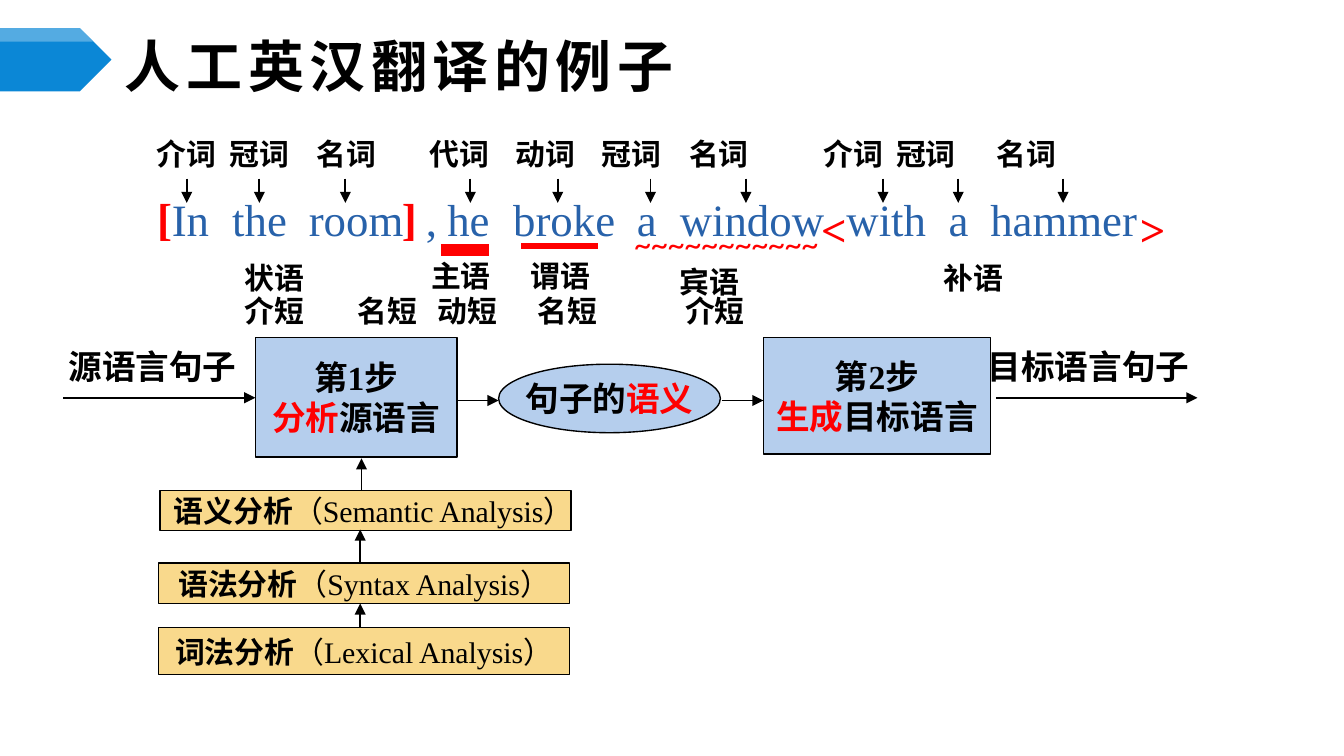
from lxml.etree import SubElement
from pptx import Presentation
from pptx.dml.color import RGBColor
from pptx.enum.shapes import MSO_CONNECTOR as Link, MSO_SHAPE as Form
from pptx.enum.text import MSO_ANCHOR as Anchor, MSO_AUTO_SIZE as Fit, PP_ALIGN as Align
from pptx.oxml.ns import qn
from pptx.util import Inches, Pt

BLACK = RGBColor(0, 0, 0)
WHITE = RGBColor(255, 255, 255)
RED = RGBColor(255, 0, 0)
INK = RGBColor(0x28, 0x62, 0xAA)
BLUE = RGBColor(0x0B, 0x87, 0xD6)
PALE = RGBColor(0xB5, 0xCE, 0xED)
GOLD = RGBColor(0xF9, 0xD9, 0x8C)
HAN, TIMES = "Noto Sans CJK SC", "Times New Roman"

WORD_TAGS = [("介词", 1.17), ("冠词", 1.71), ("名词", 2.36), ("代词", 3.2), ("动词", 3.84),
             ("冠词", 4.48), ("名词", 5.13), ("介词", 6.13), ("冠词", 6.67), ("名词", 7.42)]
WORDS = [("In", 1.28), ("the", 1.73), ("room", 2.3), (",", 3.17), ("he", 3.33),
         ("broke", 3.82), ("a", 4.74), ("window", 5.06), ("with", 6.3), ("a", 7.06),
         ("hammer", 7.37)]
PHRASES = [("介短", 1.82), ("名短", 2.66), ("动短", 3.26), ("名短", 4), ("介短", 5.1)]
ROLES = [("状语", 1.72, 1.88), ("主语", 3.11, 1.87), ("谓语", 3.85, 1.87),
         ("宾语", 4.96, 1.91), ("补语", 6.92, 1.88)]
MARKS = [("[", 1.03, 1.49), ("]", 2.85, 1.49), ("<", 6.01, 1.57), (">", 8.38, 1.57)]
DROPS = [1.39, 1.93, 2.57, 3.5, 4.15, 4.84, 5.55, 6.57, 7.13, 7.91]
LEVELS = [("语义分析", "Semantic", 1.19, 3.65, 0.3, 3.41, 0.22),
          ("语法分析", "Syntax", 1.18, 4.19, 0.3, 3.94, 0.1),
          ("词法分析", "Lexical", 1.18, 4.67, 0.35, 4.49, 0.1)]
FLOWS = [(0.47, 1.9, 2.96), (3.4, 3.71, 2.98), (5.37, 5.68, 2.98), (7.41, 8.91, 2.96)]


def put(item, vals):
    """Set each value of a dict on an item."""
    for key, val in vals.items():
        setattr(item, key, val)


def write(shape, lines, size, font=HAN, bold=True, color=BLACK, align=Align.LEFT,
          anchor=Anchor.TOP, wrap=True, inset=0.1):
    """Fill a shape with lines, each a list of (text, changes) runs."""
    frame = shape.text_frame
    put(frame, {"auto_size": Fit.NONE, "word_wrap": wrap, "vertical_anchor": anchor,
                "margin_left": Inches(inset), "margin_right": Inches(min(inset, 0.1)),
                "margin_top": Inches(0.05), "margin_bottom": Inches(0.05)})
    for num, line in enumerate(lines):
        para = frame.add_paragraph() if num else frame.paragraphs[0]
        para.alignment = align
        for text, diff in line:
            run = para.add_run()
            run.text = text
            look = {"size": Pt(size), "name": font, "bold": bold, "color": color, **diff}
            run.font.color.rgb = look.pop("color")
            put(run.font, look)
            SubElement(run.font._element, qn("a:ea"), typeface=HAN)
    return frame


def label(slide, text, box, size, **look):
    """Add a text box holding one run."""
    shape = slide.shapes.add_textbox(*map(Inches, box))
    return write(shape, [[(text, {})]], size, **look)


def row(slide, words, top, size, **look):
    """Add a line of words held in place by tab stops."""
    start = words[0][1]
    text = "\t".join(word for word, _ in words)
    frame = label(slide, text, (start - 0.1, top, 8, 0.37), size, **look)
    props = frame.paragraphs[0]._p.get_or_add_pPr()
    stops = SubElement(props, qn("a:tabLst"))
    for _, left in words[1:]:
        SubElement(stops, qn("a:tab"), pos=str(Inches(left - start)), algn="l")


def paint(shape, fill, line=None):
    """Give a shape its fill and outline."""
    shape.shadow.inherit = False
    shape.fill.solid()
    shape.fill.fore_color.rgb = fill
    if line is None:
        shape.line.fill.background()
    else:
        shape.line.color.rgb = line
        shape.line.width = Pt(0.75)


def block(slide, form, box, fill, lines, size, **look):
    """Add an outlined shape with centred text."""
    shape = slide.shapes.add_shape(form, *map(Inches, box))
    paint(shape, fill, BLACK)
    write(shape, lines, size, align=Align.CENTER, anchor=Anchor.MIDDLE, wrap=False, **look)


def stroke(slide, ends, color=BLACK, width=1, head=True):
    """Add a straight line, with an arrowhead if asked."""
    line = slide.shapes.add_connector(Link.STRAIGHT, *map(Inches, ends))
    line.line.color.rgb = color
    line.line.width = Pt(width)
    if head:
        SubElement(line.line._get_or_add_ln(), qn("a:tailEnd"), type="triangle")
    SubElement(line._element.spPr, qn("a:effectLst"))


def header(slide):
    """Add the title and the blue tag beside it."""
    title = slide.shapes.title
    put(title, {"left": Inches(0.83), "top": Inches(0.29),
                "width": Inches(8.67), "height": Inches(0.39)})
    frame = write(title, [[("人工英汉翻译的例子", {})]], 30, anchor=Anchor.MIDDLE)
    frame.paragraphs[0].runs[0].font._element.set("spc", "300")
    tag = slide.shapes.add_shape(Form.PENTAGON, 0, Inches(0.21), Inches(0.83), Inches(0.47))
    paint(tag, BLUE)
    rim = [(0.6, 0.21), (0.69, 0.31), (0, 0.31)]
    edge = slide.shapes.build_freeform(0, Inches(0.21))
    edge.add_line_segments([(Inches(x), Inches(y)) for x, y in rim])
    shine = edge.convert_to_shape()
    paint(shine, WHITE)
    tint = shine._element.spPr.find(qn("a:solidFill"))[0]
    SubElement(tint, qn("a:alpha"), val="30000")


def sample(slide):
    """Add the tagged English sentence."""
    row(slide, WORDS, 1.38, 24, font=TIMES, bold=False, color=INK)
    row(slide, WORD_TAGS, 0.96, 16)
    row(slide, PHRASES, 2.13, 16)
    for left in DROPS:
        stroke(slide, (left, 1.33, left, 1.51))
    mid = {"color": RED, "align": Align.CENTER, "anchor": Anchor.MIDDLE}
    label(slide, "~" * 11, (4.58, 1.72, 1.65, 0.18), 18, font="Calibri", bold=False, **mid)
    stroke(slide, (3.28, 1.86, 3.64, 1.86), RED, 6, False)
    stroke(slide, (3.88, 1.83, 4.45, 1.83), RED, 3, False)
    for text, left, top in MARKS:
        label(slide, text, (left, top, 0.39, 0.26), 24, font=TIMES, **mid)
    for text, left, top in ROLES:
        label(slide, text, (left, top, 0.65, 0.37), 16, wrap=False)


def flow(slide):
    """Add the two steps and the meaning between them."""
    red = {"color": RED}
    block(slide, Form.RECTANGLE, (1.9, 2.51, 1.5, 0.89), PALE,
          [[("第1步", {})], [("分析", red), ("源语言", {})]], 18, font=TIMES, inset=0)
    block(slide, Form.OVAL, (3.71, 2.71, 1.65, 0.51), PALE,
          [[("句子的", {}), ("语义", red)]], 18, inset=0)
    block(slide, Form.RECTANGLE, (5.68, 2.51, 1.69, 0.87), PALE,
          [[("第2步", {})], [("生成", red), ("目标语言", {})]], 18, font=TIMES)
    for start, end, top in FLOWS:
        stroke(slide, (start, top, end, top))
    label(slide, "源语言句子", (0.47, 2.55, 1.33, 0.35), 18, wrap=False,
          align=Align.CENTER, anchor=Anchor.MIDDLE)
    label(slide, "目标语言句子", (7.25, 2.55, 1.42, 0.35), 18, wrap=False,
          anchor=Anchor.MIDDLE)


def levels(slide):
    """Add the stack of analysis levels with upward arrows."""
    for name, term, left, top, high, tip, inset in LEVELS:
        block(slide, Form.RECTANGLE, (left, top, 3.06, high), GOLD,
              [[(name, {}), (f"（{term} Analysis）", {"bold": False})]], 16,
              font=TIMES, inset=inset)
        stroke(slide, (left + 1.5, top, left + 1.5, tip))


def main():
    """Build and save the slide."""
    deck = Presentation()
    wide = Inches(10)
    put(deck, {"slide_width": wide, "slide_height": wide * 9 // 16})
    slide = deck.slides.add_slide(deck.slide_layouts[5])
    header(slide)
    sample(slide)
    flow(slide)
    levels(slide)
    deck.save("out.pptx")


main()
